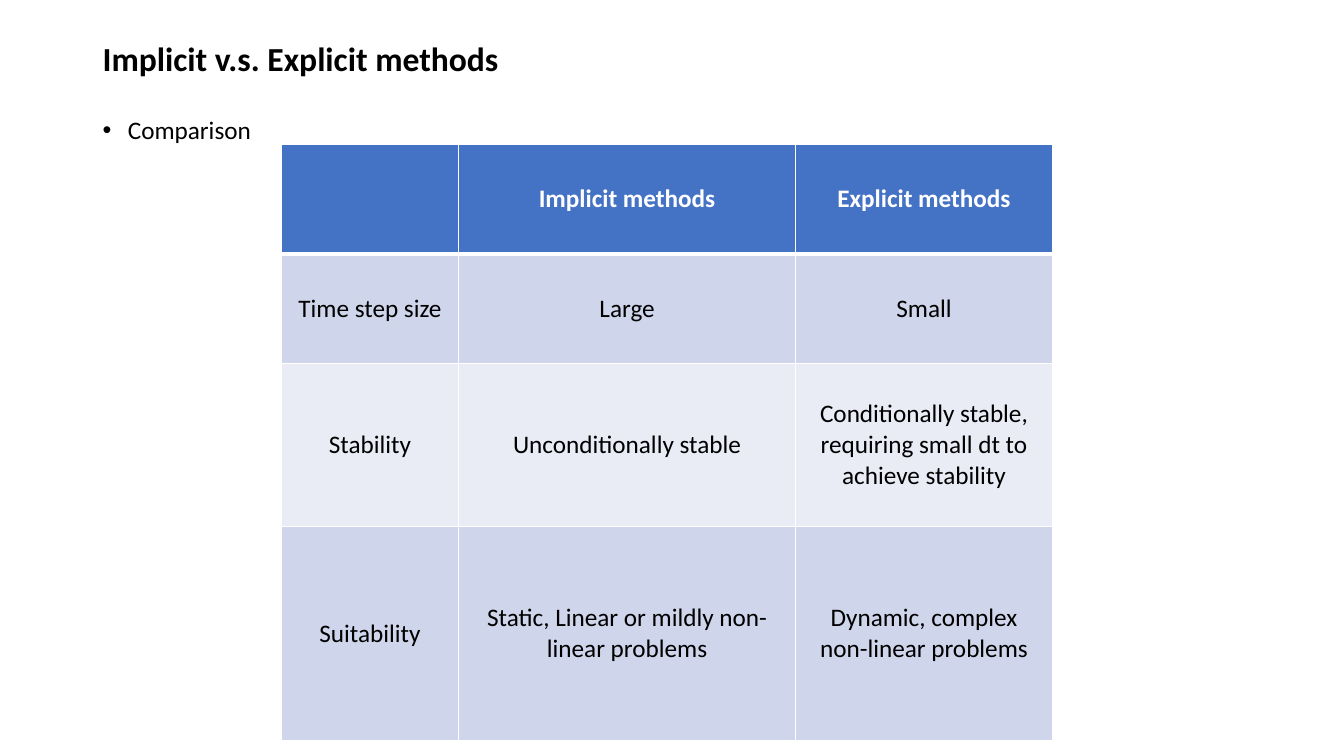
import dataclasses

import pptx
import pptx.dml.color
import pptx.enum.text
import pptx.oxml
import pptx.oxml.ns
import pptx.slide
import pptx.table
import pptx.text.text
import pptx.util

Inches = pptx.util.Inches
RGBColor = pptx.dml.color.RGBColor
Align = pptx.enum.text.PP_ALIGN
Anchor = pptx.enum.text.MSO_ANCHOR

BLACK = RGBColor(0x00, 0x00, 0x00)
WHITE = RGBColor(0xFF, 0xFF, 0xFF)
HEADER_BLUE = RGBColor(0x44, 0x72, 0xC4)
BAND_DARK = RGBColor(0xCF, 0xD5, 0xEA)
BAND_LIGHT = RGBColor(0xE9, 0xEB, 0xF5)

COLUMN_WIDTHS = (1.76, 3.34, 2.55)


@dataclasses.dataclass(frozen=True)
class ComparisonRow:
    height: float
    texts: tuple[str, str, str]
    fill: RGBColor
    header: bool = False


ROWS = (
    ComparisonRow(1.09, ("", "Implicit methods", "Explicit methods"), HEADER_BLUE, header=True),
    ComparisonRow(1.09, ("Time step size", "Large", "Small"), BAND_DARK),
    ComparisonRow(
        1.61,
        (
            "Stability",
            "Unconditionally stable",
            "Conditionally stable, requiring small dt to achieve stability",
        ),
        BAND_LIGHT,
    ),
    ComparisonRow(
        2.13,
        (
            "Suitability",
            "Static, Linear or mildly non-linear problems",
            "Dynamic, complex non-linear problems",
        ),
        BAND_DARK,
    ),
)


def write(
    frame: pptx.text.text.TextFrame,
    text: str,
    *,
    size: float = 18,
    color: RGBColor = BLACK,
    bold: bool = False,
    align: Align = Align.LEFT,
    line_spacing: float = 1.0,
) -> pptx.text.text._Paragraph:
    """Write one formatted paragraph into a text frame."""
    para = frame.paragraphs[0]
    para.alignment = align
    para.line_spacing = line_spacing
    span = para.add_run()
    span.text = text
    span.font.name = "Calibri"
    span.font.size = pptx.util.Pt(size)
    span.font.bold = bold
    span.font.color.rgb = color
    return para


def add_frame(
    page: pptx.slide.Slide, top: float, height: float, anchor: Anchor
) -> pptx.text.text.TextFrame:
    """Add a wrapping text box across the slide's content width."""
    box = page.shapes.add_textbox(Inches(0.92), Inches(top), Inches(11.5), Inches(height))
    box.text_frame.word_wrap = True
    box.text_frame.vertical_anchor = anchor
    return box.text_frame


def add_bullet(para: pptx.text.text._Paragraph) -> None:
    """Give a paragraph a hanging round bullet."""
    properties = para._p.get_or_add_pPr()
    properties.set("marL", str(Inches(0.25)))
    properties.set("indent", str(Inches(-0.25)))
    namespace = pptx.oxml.ns.nsdecls("a")
    properties.append(pptx.oxml.parse_xml(f'<a:buFont {namespace} typeface="Arial"/>'))
    properties.append(pptx.oxml.parse_xml(f'<a:buChar {namespace} char="•"/>'))


def set_borders(cell: pptx.table._Cell, top: float, bottom: float) -> None:
    """Draw white cell borders; the side borders are 1 point wide."""
    for side, width in (("L", 1), ("R", 1), ("T", top), ("B", bottom)):
        cell._tc.get_or_add_tcPr().append(pptx.oxml.parse_xml(
            f'<a:ln{side} {pptx.oxml.ns.nsdecls("a")} w="{pptx.util.Pt(width)}">'
            f'<a:solidFill><a:srgbClr val="{WHITE}"/></a:solidFill></a:ln{side}>'
        ))


def add_comparison(page: pptx.slide.Slide) -> None:
    """Add the table of implicit and explicit methods."""
    table = page.shapes.add_table(
        len(ROWS), len(COLUMN_WIDTHS), Inches(2.79), Inches(1.43),
        Inches(sum(COLUMN_WIDTHS)), Inches(sum(row.height for row in ROWS)),
    ).table
    for column, width in zip(table.columns, COLUMN_WIDTHS):
        column.width = Inches(width)
    for row_index, row in enumerate(ROWS):
        table.rows[row_index].height = Inches(row.height)
        below_header = row_index > 0 and ROWS[row_index - 1].header
        for column_index, text in enumerate(row.texts):
            cell = table.cell(row_index, column_index)
            set_borders(cell, top=3 if below_header else 1, bottom=3 if row.header else 1)
            cell.fill.solid()
            cell.fill.fore_color.rgb = row.fill
            cell.vertical_anchor = Anchor.MIDDLE
            if text:
                write(cell.text_frame, text, color=WHITE if row.header else BLACK,
                      bold=row.header, align=Align.CENTER)


def main() -> None:
    deck = pptx.Presentation()
    deck.slide_width = Inches(13.33)
    deck.slide_height = Inches(7.5)
    page = deck.slides.add_slide(deck.slide_layouts[6])

    # Title
    title = add_frame(page, 0.27, 0.66, Anchor.MIDDLE)
    write(title, "Implicit v.s. Explicit methods", size=24, bold=True, line_spacing=0.9)

    # Bullet
    body = add_frame(page, 1.12, 4.76, Anchor.TOP)
    para = write(body, "Comparison", line_spacing=0.9)
    para.space_before = pptx.util.Pt(10)
    para.space_after = pptx.util.Pt(12)
    add_bullet(para)

    # Table
    add_comparison(page)
    deck.save("out.pptx")


if __name__ == "__main__":
    main()
